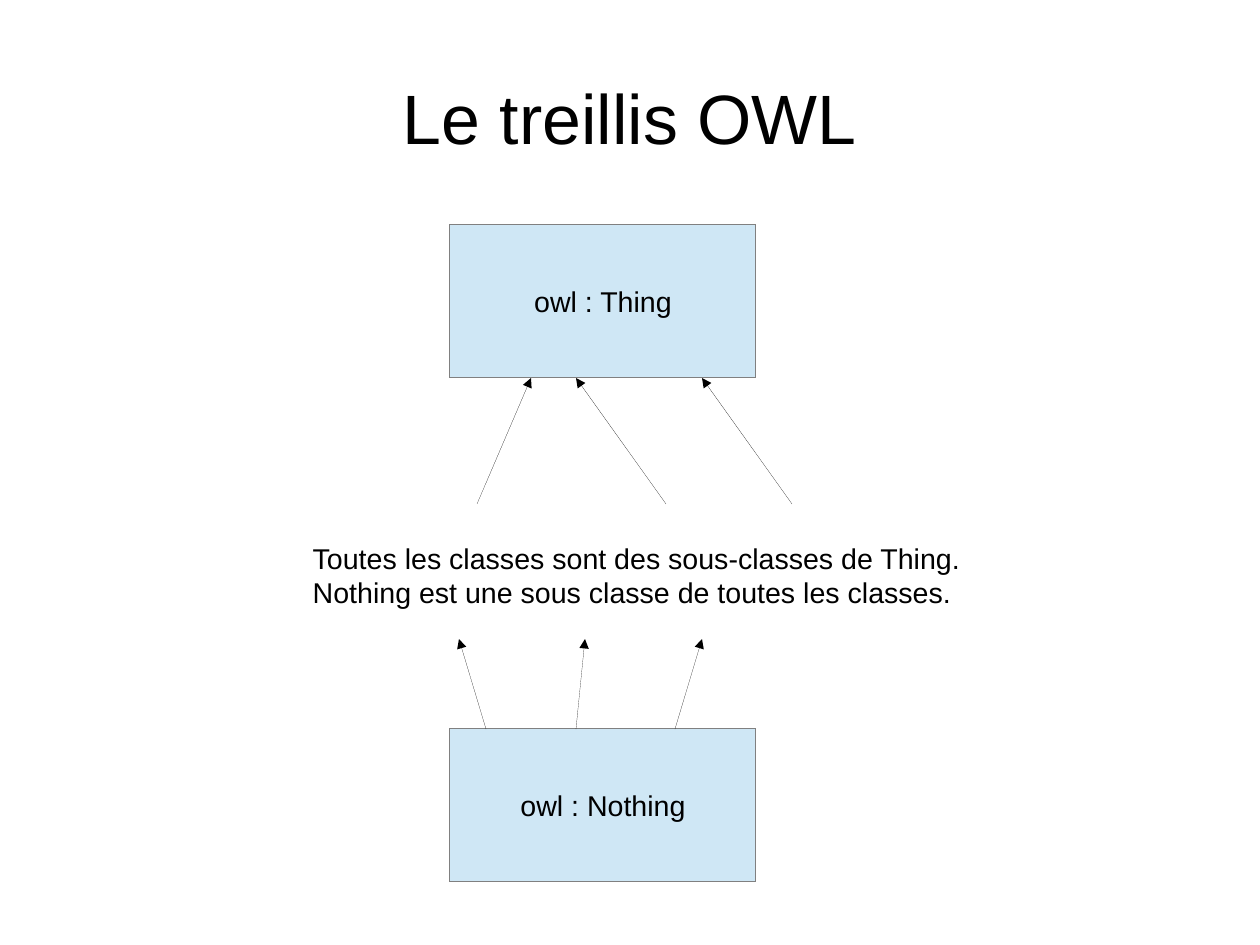
import pptx
import pptx.dml.color
import pptx.enum.shapes
import pptx.enum.text
import pptx.oxml
import pptx.oxml.ns
import pptx.util

Cm, Pt = pptx.util.Cm, pptx.util.Pt
RGBColor = pptx.dml.color.RGBColor
ALIGN, ANCHOR = pptx.enum.text.PP_ALIGN, pptx.enum.text.MSO_ANCHOR

BLACK = RGBColor(0x00, 0x00, 0x00)
GREY = RGBColor(0x80, 0x80, 0x80)
PALE_BLUE = RGBColor(0xCF, 0xE7, 0xF5)

TITLE = "Le treillis OWL"
EXPLANATION = [
    "Toutes les classes sont des sous-classes de Thing.",
    "Nothing est une sous classe de toutes les classes.",
]

# Lengths in centimetres
BOX_LEFT, BOX_WIDTH, BOX_HEIGHT = 10, 6.8, 3.4
THING_TOP, NOTHING_TOP = 5, 16.2
BOXES = [("owl : Thing", THING_TOP), ("owl : Nothing", NOTHING_TOP)]

# (start y, end y, [(start x, end x), ...])
ARROW_ROWS = [
    (11.2, THING_TOP + BOX_HEIGHT, [(10.6, 11.8), (14.8, 12.8), (17.6, 15.6)]),
    (NOTHING_TOP, 14.2, [(10.8, 10.2), (12.8, 13), (15, 15.6)]),
]


def style(p, size, align):
    p.alignment = align
    p.font.size = Pt(size)
    p.font.name = "Arial"
    p.font.color.rgb = BLACK


def set_hairline(sp, color):
    """Give the outline a written zero width, so the theme's width is not used."""
    sp.line.color.rgb = color
    ln = sp.line._get_or_add_ln()
    ln.set("w", "0")
    return ln


def add_class_box(slide, label, top):
    sp = slide.shapes.add_shape(
        pptx.enum.shapes.MSO_SHAPE.RECTANGLE,
        Cm(BOX_LEFT), Cm(top), Cm(BOX_WIDTH), Cm(BOX_HEIGHT))
    sp.shadow.inherit = False
    sp.fill.solid()
    sp.fill.fore_color.rgb = PALE_BLUE
    set_hairline(sp, GREY)
    tf = sp.text_frame
    tf.word_wrap = False
    tf.vertical_anchor = ANCHOR.MIDDLE
    tf.text = label
    style(tf.paragraphs[0], 18, ALIGN.CENTER)


def add_arrow(slide, x1, y1, x2, y2):
    arrow = slide.shapes.add_connector(
        pptx.enum.shapes.MSO_CONNECTOR.STRAIGHT, Cm(x1), Cm(y1), Cm(x2), Cm(y2))
    ln = set_hairline(arrow, BLACK)
    ln.append(pptx.oxml.parse_xml(
        f'<a:tailEnd {pptx.oxml.ns.nsdecls("a")} type="triangle"/>'))
    ln.addnext(pptx.oxml.parse_xml(
        f'<a:effectLst {pptx.oxml.ns.nsdecls("a")}/>'))


def main():
    prs = pptx.Presentation()
    prs.slide_width, prs.slide_height = Cm(28), Cm(21)
    slide = prs.slides.add_slide(prs.slide_layouts[5])

    title = slide.shapes.title
    title.left, title.top = Cm(1.4), Cm(0.84)
    title.width, title.height = Cm(25.2), Cm(3.5)
    tf = title.text_frame
    tf.margin_left = tf.margin_right = tf.margin_top = tf.margin_bottom = 0
    tf.vertical_anchor = ANCHOR.MIDDLE
    tf.text = TITLE
    style(tf.paragraphs[0], 44, ALIGN.CENTER)

    for label, top in BOXES:
        add_class_box(slide, label, top)

    for y1, y2, spans in ARROW_ROWS:
        for x1, x2 in spans:
            add_arrow(slide, x1, y1, x2, y2)

    tf = slide.shapes.add_textbox(
        Cm(6.7), Cm(11.9), Cm(15.1), Cm(1.68)).text_frame
    tf.word_wrap = True
    tf.text = "\n".join(EXPLANATION)
    for p in tf.paragraphs:
        style(p, 18, ALIGN.LEFT)

    prs.save("out.pptx")


if __name__ == "__main__":
    main()
